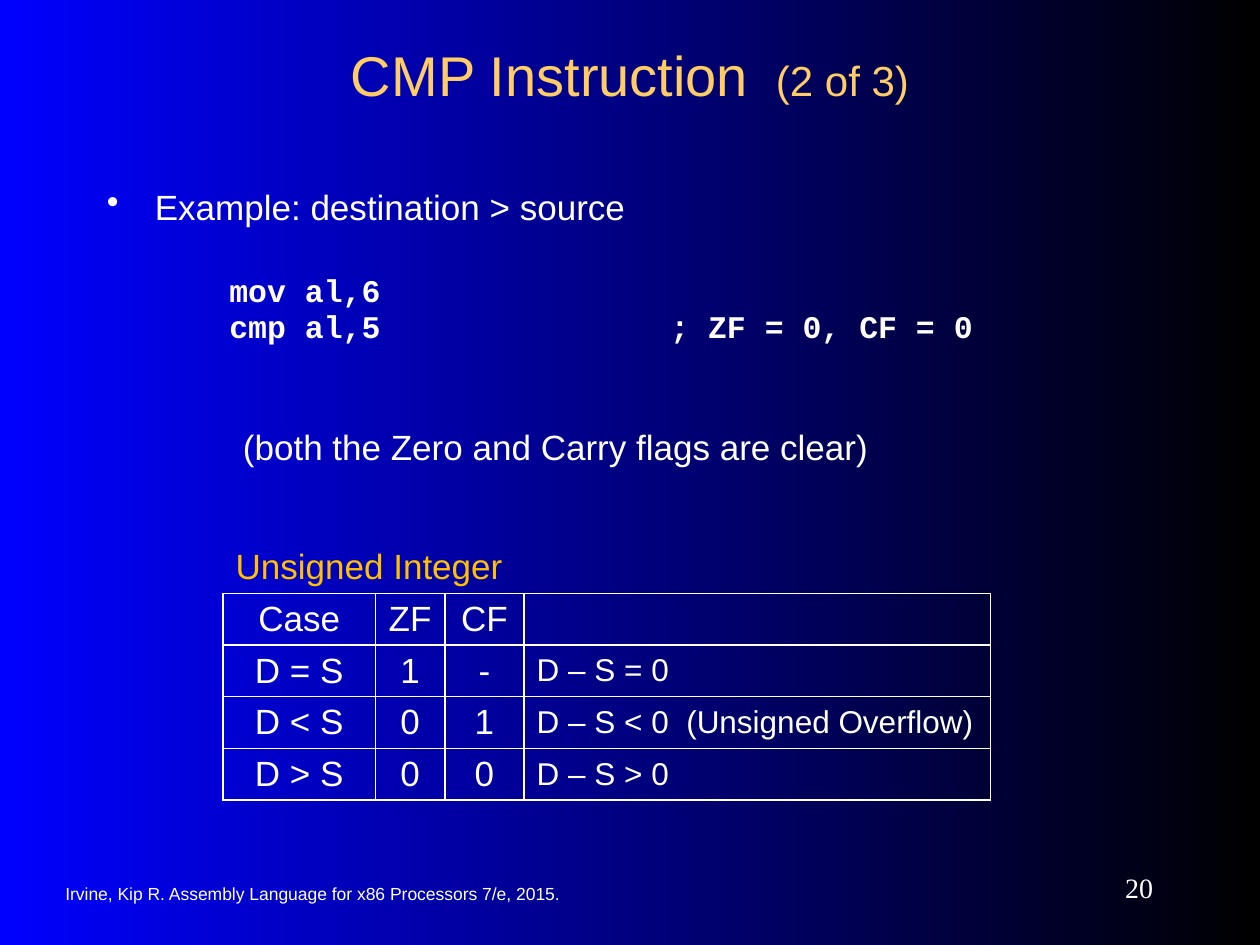
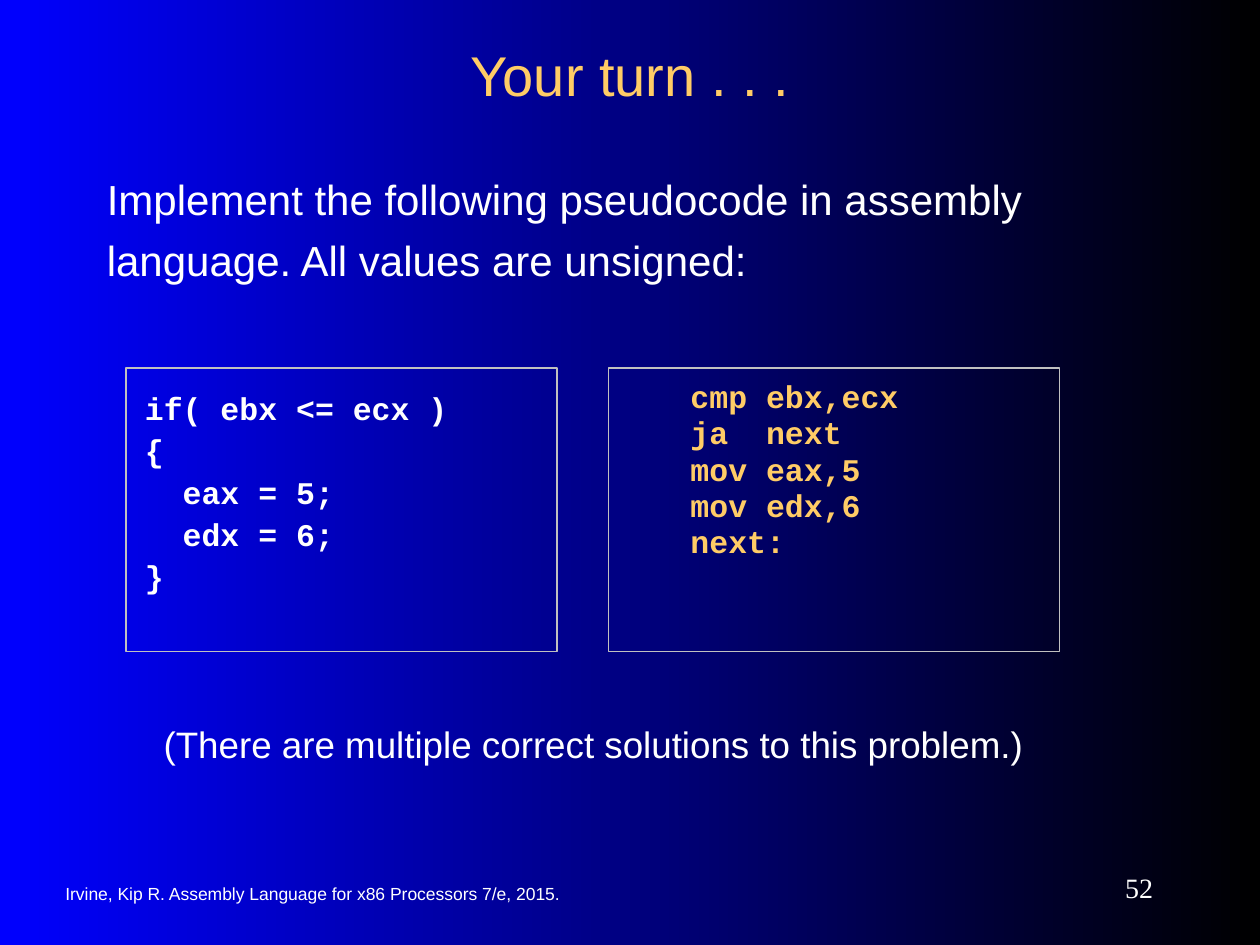
import pptx
import pptx.util
import pptx.dml.color
import pptx.enum.text
import pptx.enum.shapes
import pptx.oxml
import pptx.oxml.ns

Inches = pptx.util.Inches
Pt = pptx.util.Pt
ALIGN = pptx.enum.text.PP_ALIGN
MID = pptx.enum.text.MSO_ANCHOR.MIDDLE
TOP = pptx.enum.text.MSO_ANCHOR.TOP
WHITE, GOLD, AMBER, GREY = "FFFFFF", "FFCC66", "FFC000", "C0C0C0"
SANS, MONO, SERIF = "Arial", "Courier New", "Times New Roman"
CREDIT = "Irvine, Kip R. Assembly Language for x86 Processors 7/e, 2015."
CASES = [
    ("Case", "ZF", "CF", ""),
    ("D = S", "1", "-", "D – S = 0"),
    ("D < S", "0", "1", "D – S < 0  (Unsigned Overflow)"),
    ("D > S", "0", "0", "D – S > 0"),
]


def paint(hue):
    """Turn a hex string into a colour."""
    return pptx.dml.color.RGBColor.from_string(hue)


def node(tag, body="", **attrs):
    """Make one drawing element from its tag, attributes and inner XML."""
    pairs = "".join(f' {key}="{val}"' for key, val in attrs.items())
    return pptx.oxml.parse_xml(
        f"<a:{tag} {pptx.oxml.ns.nsdecls('a')}{pairs}>{body}</a:{tag}>")


def style(para, size, hue=WHITE, font=SANS, bold=False, align=ALIGN.LEFT):
    """Format a paragraph and all its runs."""
    para.alignment = align
    for run in para.runs:
        run.font.size, run.font.name, run.font.bold = Pt(size), font, bold
        run.font.color.rgb = paint(hue)


def write(shape, text, size, pad=(0.1, 0.05), anchor=TOP, first=0, gap=0,
          lead=None, **look):
    """Fill a shape with formatted text."""
    frame = shape.text_frame
    frame.text = text
    frame.word_wrap = True
    frame.auto_size = pptx.enum.text.MSO_AUTO_SIZE.NONE
    frame.vertical_anchor = anchor
    frame.margin_left = frame.margin_right = Inches(pad[0])
    frame.margin_top = frame.margin_bottom = Inches(pad[1])
    for rank, para in enumerate(frame.paragraphs):
        style(para, size, **look)
        para.space_before = Pt(gap if rank else first)
        if lead:
            para.line_spacing = lead
    return frame.paragraphs


def label(slide, box, text, size, **look):
    """Add a text box."""
    return write(slide.shapes.add_textbox(*map(Inches, box)), text, size, **look)


def code(slide, box, text, **look):
    """Add an outlined panel of code."""
    panel = slide.shapes.add_shape(
        pptx.enum.shapes.MSO_SHAPE.RECTANGLE, *map(Inches, box))
    panel.shadow.inherit = False
    panel.fill.background()
    panel.line.color.rgb = paint(GREY)
    panel.line.width = Pt(0.75)
    return write(panel, text, 18, pad=(0.15, 0.2), font=MONO, bold=True, **look)


def start(deck, title, page):
    """Add a slide with its title, credit and page number."""
    slide = deck.slides.add_slide(deck.slide_layouts[5])
    head = slide.shapes.title
    head.left, head.top, head.width, head.height = map(
        Inches, (0.75, 0.25, 8.5, 0.67))
    write(head, title, 32, anchor=MID, hue=GOLD, align=ALIGN.CENTER)
    label(slide, (0.42, 6.93, 5.17, 0.33), CREDIT, 10, anchor=MID)
    label(slide, (8.17, 6.83, 1.08, 0.42), str(page), 16, anchor=MID,
          font=SERIF, align=ALIGN.RIGHT)
    return slide


def edge(cell, sides):
    """Draw white borders on the named sides of a cell and clear the rest."""
    props = cell._tc.get_or_add_tcPr()
    for rank, side in enumerate("LRTB"):
        fill = (f'<a:solidFill><a:srgbClr val="{WHITE}"/></a:solidFill>'
                if side in sides else "<a:noFill/>")
        props.insert(rank, node("ln" + side, fill, w=12700))


def enter(cell, text, size, sides, **look):
    """Fill one table cell."""
    cell.text = text
    cell.fill.background()
    cell.vertical_anchor = MID
    cell.margin_top = cell.margin_bottom = Inches(0.04)
    style(cell.text_frame.paragraphs[0], size, **look)
    edge(cell, sides)


def grid(slide, box):
    """Add the table of flags for each case."""
    wide = (1.21, 0.55, 0.63, 3.7)
    frame = slide.shapes.add_table(len(CASES) + 1, 4, *map(Inches, box))
    table = frame.table
    table.first_row = table.horz_banding = False
    for col, width in zip(table.columns, wide):
        col.width = Inches(width)
    for row in table.rows:
        row.height = Inches(box[3] / len(table.rows))
    table.cell(0, 0).merge(table.cell(0, 3))
    for col in range(4):
        enter(table.cell(0, col), "" if col else "Unsigned Integer", 20, "B",
              hue=AMBER)
    for row, case in enumerate(CASES, 1):
        for col, text in enumerate(case):
            last = col == 3
            enter(table.cell(row, col), text, 18 if last else 20, "LRTB",
                  align=ALIGN.LEFT if last else ALIGN.CENTER)


def flags(deck):
    """Build the slide on comparing unsigned values."""
    slide = start(deck, "CMP Instruction ", 20)
    part = slide.shapes.title.text_frame.paragraphs[0].add_run()
    part.text = " (2 of 3)"
    part.font.size, part.font.name = Pt(24), SANS
    part.font.color.rgb = paint(GOLD)
    para = label(slide, (0.75, 1.42, 6.75, 0.67),
                 "Example: destination > source", 20, first=2)[0]
    props = para._p.get_or_add_pPr()
    props.set("marL", str(Inches(0.38)))
    props.set("indent", str(Inches(-0.38)))
    props.append(node("buChar", char="•"))
    lines = label(slide, (1.67, 2.08, 6.67, 0.92),
                  "mov al,6\ncmp al,5\t; ZF = 0, CF = 0", 18, pad=(0.15, 0.2),
                  first=5, gap=10, lead=0.5, font=MONO, bold=True)
    stop = f'<a:tab pos="{Inches(3.5)}" algn="l"/>'
    lines[1]._p.get_or_add_pPr().append(node("tabLst", stop))
    label(slide, (1.83, 3.33, 6.17, 0.5),
          "(both the Zero and Carry flags are clear)", 20, first=2)
    grid(slide, (1.77, 4.3, 6.09, 2.05))


def task(deck):
    """Build the exercise slide."""
    slide = start(deck, "Your turn . . .", 52)
    label(slide, (0.75, 1.25, 8.5, 1.33),
          "Implement the following pseudocode in assembly language. "
          "All values are unsigned:", 24, first=2, lead=1.2)
    steps = code(slide, (4.83, 2.92, 3.58, 2.25),
                 "cmp ebx,ecx\nja  next\nmov eax,5\nmov edx,6\nnext:",
                 hue=GOLD, first=5, gap=10, lead=0.5)
    for para in steps:
        para._p.get_or_add_pPr().set("marL", str(Inches(0.5)))
    code(slide, (1, 2.92, 3.42, 2.25),
         "if( ebx <= ecx )\n{\n  eax = 5;\n  edx = 6;\n}",
         first=3, gap=4.5, lead=0.9)
    label(slide, (0.75, 5.58, 7.92, 0.65),
          "(There are multiple correct solutions to this problem.)", 21,
          pad=(0.1, 0.15), first=2, align=ALIGN.CENTER)


def main():
    """Build and save the deck."""
    deck = pptx.Presentation()
    deck.slide_width, deck.slide_height = Inches(10), Inches(7.5)
    fill = deck.slide_master.background.fill
    fill.gradient()
    fill.gradient_angle = 0
    for stop, hue in zip(fill.gradient_stops, ("0000FF", "000000")):
        stop.color.rgb = paint(hue)
    flags(deck)
    task(deck)
    deck.save("out.pptx")


if __name__ == "__main__":
    main()
